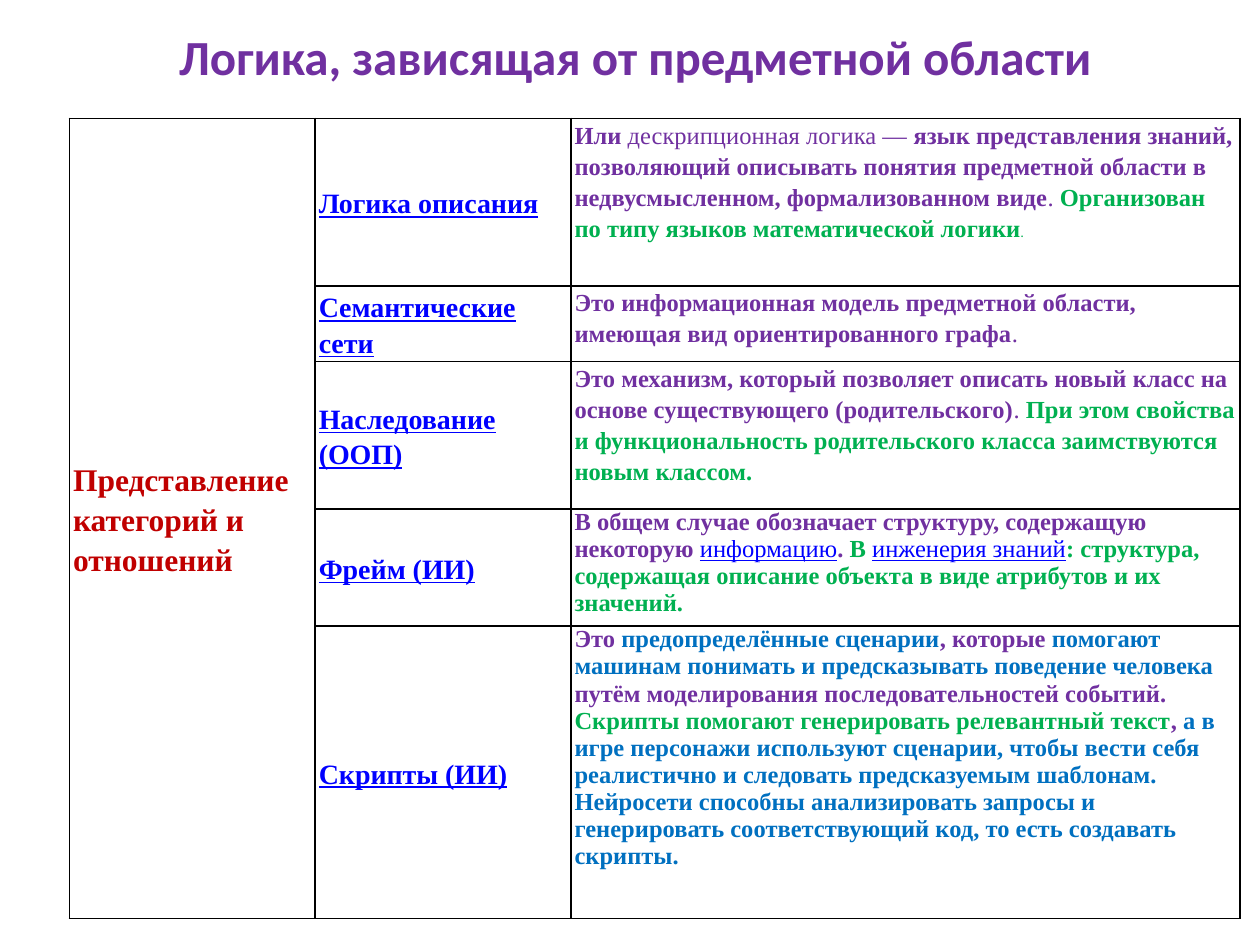
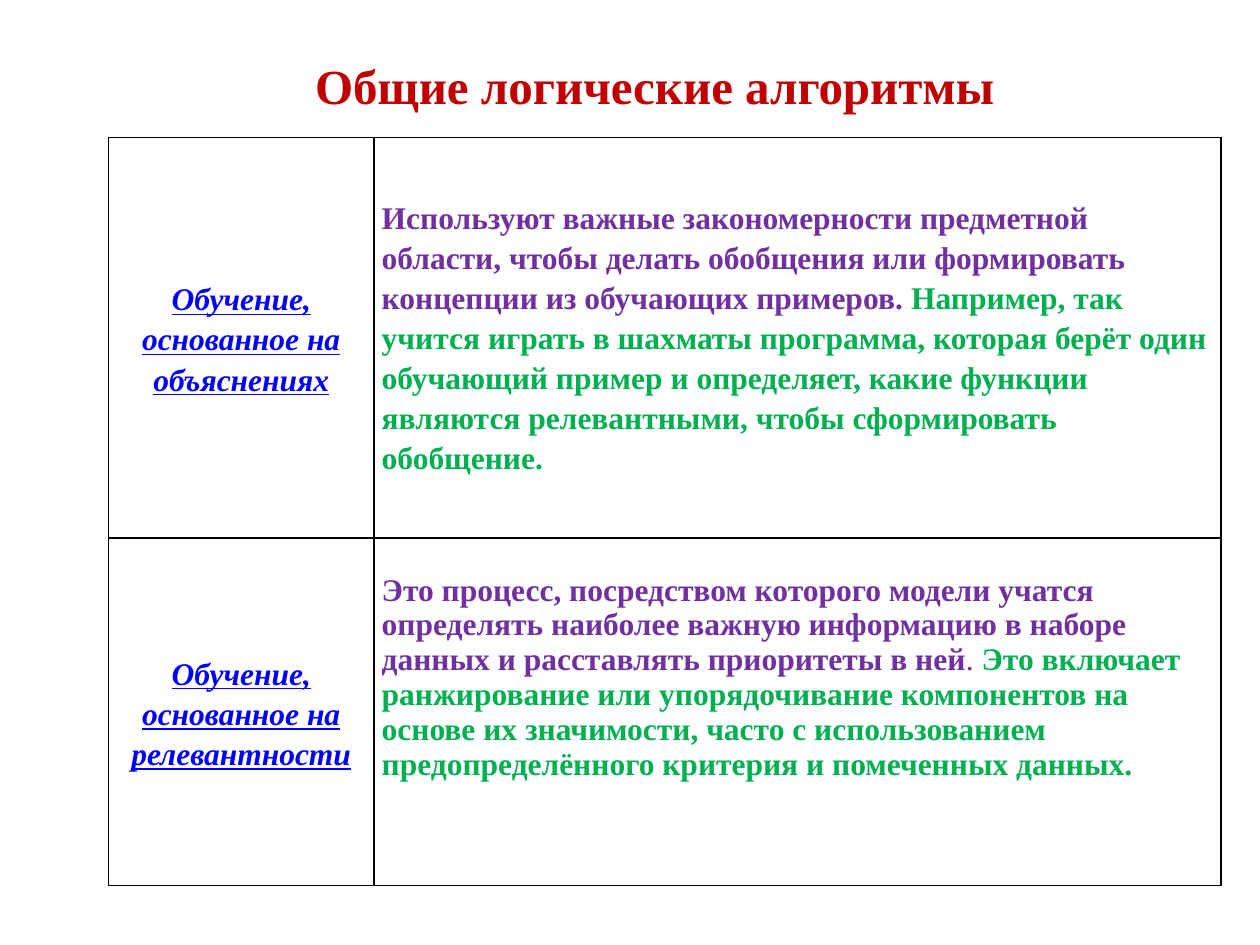
from dataclasses import dataclass

from lxml.etree import SubElement
from pptx import Presentation
from pptx.dml.color import RGBColor
from pptx.enum.text import MSO_ANCHOR, MSO_AUTO_SIZE, PP_ALIGN
from pptx.oxml.ns import qn
from pptx.util import Inches, Pt


@dataclass(frozen=True)
class Theme:
    violet: str = "7030A0"
    red: str = "C00000"
    green: str = "00B050"
    blue: str = "0070C0"
    link: str = "0000FF"
    edge: str = "000000"
    sans: str = "Calibri"
    serif: str = "Times New Roman"
    head: int = 28
    large: int = 18
    term: int = 16
    note: int = 14
    dot: int = 6
    loose: float = 1.15
    after: int = 10


@dataclass(frozen=True)
class Part:
    """A run of text; size 0 means the size of its cell."""
    text: str
    color: str
    bold: bool = True
    italic: bool = False
    under: bool = False
    size: int = 0


T = Theme()
WIDE, HIGH = Inches(10), Inches(7.5)


def across(share):
    return round(WIDE * share / 100)


def down(share):
    return round(HIGH * share / 100)


def violet(text, bold=True):
    return Part(text, T.violet, bold)


def green(text, size=0):
    return Part(text, T.green, size=size)


def blue(text):
    return Part(text, T.blue)


def link(text, bold=True, italic=False):
    return Part(text, T.link, bold, italic, True)


def write(para, parts, size, face=T.serif):
    for part in parts:
        run = para.add_run()
        run.text = part.text
        font = run.font
        font.name = face
        font.size = Pt(part.size or size)
        font.bold = part.bold
        font.italic = part.italic
        font.underline = part.under
        font.color.rgb = RGBColor.from_string(part.color)


def add_page(deck, text, face, color, box):
    """Add a slide whose title fills box: left, top, width, height in percent."""
    slide = deck.slides.add_slide(deck.slide_layouts[5])
    title = slide.shapes.title
    left, top, width, height = box
    title.left, title.top = across(left), down(top)
    title.width, title.height = across(width), down(height)
    frame = title.text_frame
    frame.word_wrap = True
    frame.auto_size = MSO_AUTO_SIZE.NONE
    para = frame.paragraphs[0]
    para.alignment = PP_ALIGN.CENTER
    write(para, [Part(text, color)], T.head, face)
    return slide


def draw_edges(cell):
    props = cell._tc.get_or_add_tcPr()
    for spot, side in enumerate(("lnL", "lnR", "lnT", "lnB")):
        line = SubElement(props, qn(f"a:{side}"), w=str(Pt(1)))
        fill = SubElement(line, qn("a:solidFill"))
        SubElement(fill, qn("a:srgbClr"), val=T.edge)
        props.insert(spot, line)


def add_grid(slide, left, top, cols, rows, pad):
    """Add a plain ruled table; all lengths are percent of the slide."""
    table = slide.shapes.add_table(
        len(rows), len(cols), across(left), down(top),
        across(sum(cols)), down(sum(rows))).table
    table.first_row = table.horz_banding = False
    for col, share in zip(table.columns, cols):
        col.width = across(share)
    for row, share in zip(table.rows, rows):
        row.height = down(share)
    for cell in table.iter_cells():
        cell.margin_left = cell.margin_right = across(pad)
        cell.margin_top = cell.margin_bottom = 0
        cell.fill.background()
        draw_edges(cell)
    return table


def fill_cell(cell, paras, size, loose=True, middle=False, align=PP_ALIGN.LEFT):
    cell.vertical_anchor = MSO_ANCHOR.MIDDLE if middle else MSO_ANCHOR.TOP
    frame = cell.text_frame
    for index, parts in enumerate(paras):
        para = frame.add_paragraph() if index else frame.paragraphs[0]
        para.alignment = align
        para.line_spacing = T.loose if loose else 1.0
        para.space_after = Pt(T.after if loose else 0)
        write(para, parts, size)


# Each entry: term, paragraphs, loose line spacing
DOMAIN = [
    ("Логика описания", [[
        violet("Или "),
        violet("дескрипционная логика — ", False),
        violet("язык представления знаний, позволяющий описывать понятия "
               "предметной области в недвусмысленном, формализованном виде"),
        violet(". ", False),
        green("Организован по типу языков математической логики"),
        green(".", T.dot)]], True),
    ("Семантические сети", [[
        violet("Это информационная модель предметной области, "
               "имеющая вид ориентированного графа"),
        violet(".", False)]], True),
    ("Наследование (ООП)", [[
        violet("Это механизм, который позволяет описать новый класс "
               "на основе существующего (родительского)"),
        violet(". ", False),
        green("При этом свойства и функциональность родительского класса "
              "заимствуются новым классом.")]], True),
    ("Фрейм (ИИ)", [[
        violet("В общем случае обозначает структуру, содержащую некоторую "),
        link("информацию", False),
        violet(". "),
        green("В "),
        link("инженерия знаний", False),
        green(": структура, содержащая описание объекта "
              "в виде атрибутов и их значений.")]], False),
    ("Скрипты (ИИ)", [
        [violet("Это "),
         blue("предопределённые сценарии"),
         violet(", которые "),
         blue("помогают машинам понимать и предсказывать поведение человека"),
         violet(" путём моделирования последовательностей событий.")],
        [green("Скрипты помогают генерировать релевантный текст"),
         violet(", "),
         blue("а в игре персонажи используют сценарии, чтобы вести себя "
              "реалистично и следовать предсказуемым шаблонам.")],
        [blue("Нейросети способны анализировать запросы и генерировать "
              "соответствующий код, то есть создавать скрипты.")]], False),
]

# Each entry: term, parts, loose line spacing, gap above the text in percent
GENERAL = [
    ("Обучение, основанное на объяснениях", [
        violet("Используют важные закономерности предметной области, чтобы "
               "делать обобщения или формировать концепции из обучающих "
               "примеров. "),
        green("Например, так учится играть в шахматы программа, которая берёт "
              "один обучающий пример и определяет, какие функции являются "
              "релевантными, чтобы сформировать обобщение.")], True, 6.2),
    ("Обучение, основанное на релевантности", [
        violet("Это процесс, посредством которого модели учатся определять "
               "наиболее важную информацию в наборе данных и расставлять "
               "приоритеты в ней"),
        violet(". ", False),
        green("Это включает ранжирование или упорядочивание компонентов на "
              "основе их значимости, часто с использованием предопределённого "
              "критерия и помеченных данных.")], False, 3.7),
]


def build_domain(deck):
    slide = add_page(deck, "Логика, зависящая от предметной области",
                     T.sans, T.violet, (3.9, 2.13, 93, 7.6))
    table = add_grid(slide, 5.5, 12.53, (19.5, 20.3, 53.1),
                     (17.73, 8, 15.6, 12.4, 30.93), 0.3)
    group = table.cell(0, 0)
    group.merge(table.cell(len(DOMAIN) - 1, 0))
    fill_cell(group, [[Part("Представление категорий и отношений", T.red)]],
              T.large, middle=True)
    for row, (term, paras, loose) in enumerate(DOMAIN):
        fill_cell(table.cell(row, 1), [[link(term)]], T.term, middle=True)
        fill_cell(table.cell(row, 2), paras, T.note, loose)


def build_general(deck):
    slide = add_page(deck, "Общие логические алгоритмы",
                     T.serif, T.red, (13.3, 5.2, 77.3, 7.6))
    table = add_grid(slide, 8.6, 14.53, (21.1, 67.2), (42.4, 36.8), 0.6)
    for row, (term, parts, loose, gap) in enumerate(GENERAL):
        fill_cell(table.cell(row, 0), [[link(term, italic=True)]], T.large,
                  middle=True, align=PP_ALIGN.CENTER)
        note = table.cell(row, 1)
        note.margin_top = down(gap)
        fill_cell(note, [parts], T.large, loose)


def main():
    deck = Presentation()
    deck.slide_width, deck.slide_height = WIDE, HIGH
    build_domain(deck)
    build_general(deck)
    deck.save("out.pptx")


if __name__ == "__main__":
    main()
